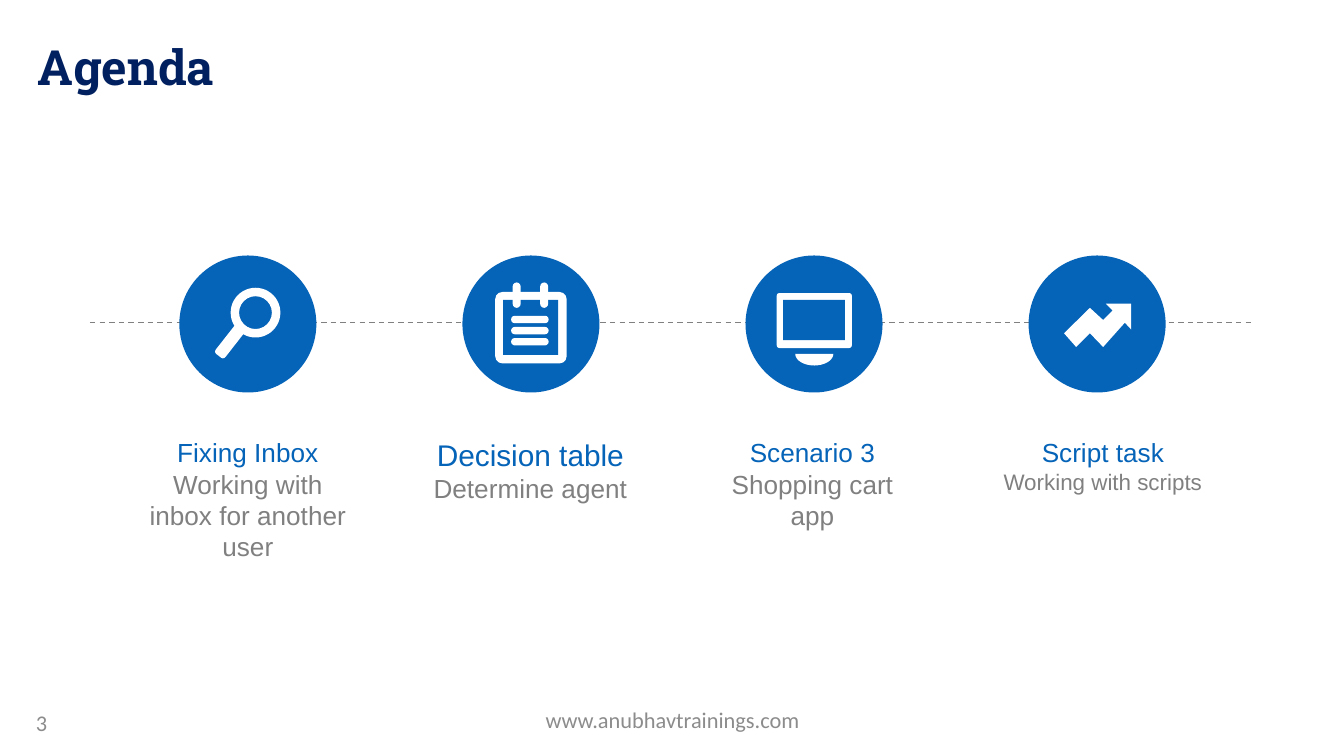
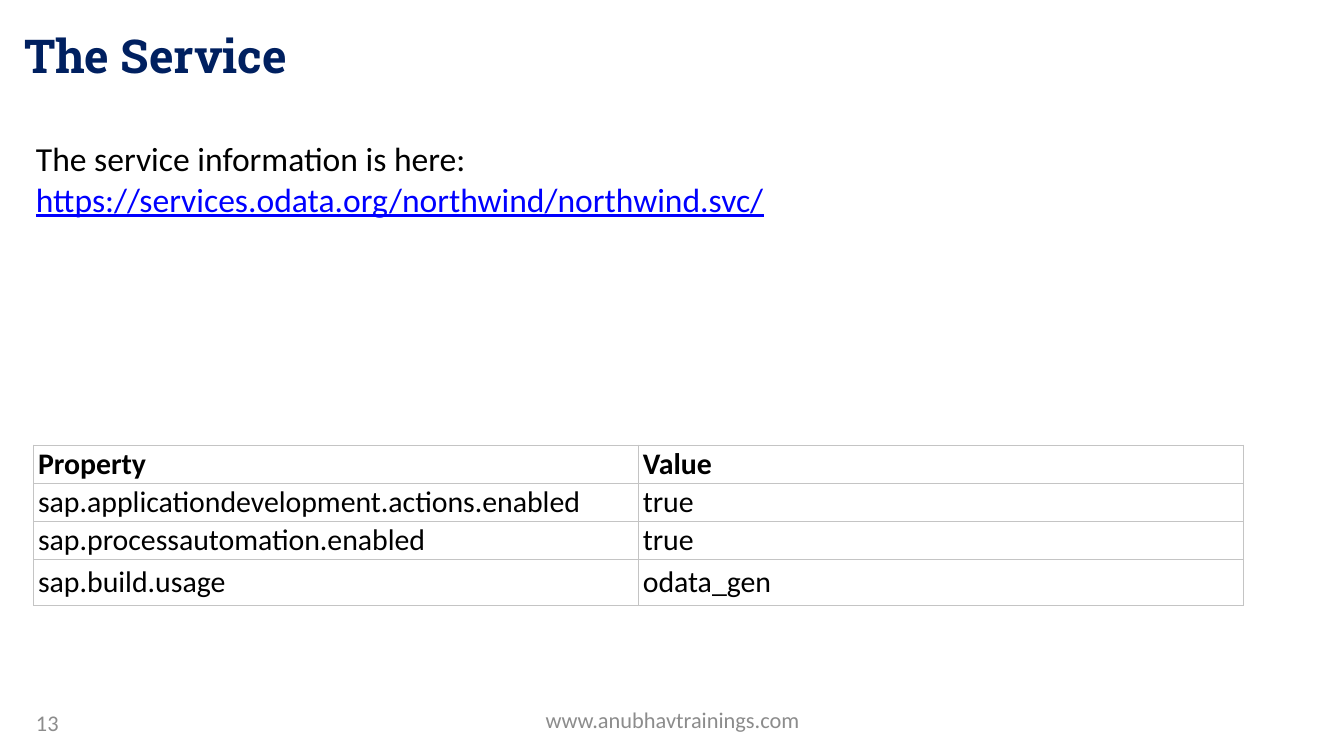
from dataclasses import dataclass
from math import cos, pi, sin

from lxml.etree import SubElement
from pptx import Presentation
from pptx.dml.color import RGBColor
from pptx.enum.dml import MSO_LINE
from pptx.enum.shapes import MSO_CONNECTOR, MSO_SHAPE
from pptx.enum.text import MSO_ANCHOR, MSO_AUTO_SIZE, PP_ALIGN
from pptx.oxml.ns import qn
from pptx.util import Cm, Pt


@dataclass(frozen=True)
class Theme:
    navy: RGBColor = RGBColor(0x00, 0x20, 0x60)
    bright: RGBColor = RGBColor(0x00, 0x70, 0xC0)
    blue: RGBColor = RGBColor(0x05, 0x63, 0xB8)
    link: RGBColor = RGBColor(0x00, 0x00, 0xFF)
    gray: RGBColor = RGBColor(0x80, 0x80, 0x80)
    footer: RGBColor = RGBColor(0x8C, 0x8C, 0x8C)
    black: RGBColor = RGBColor(0x00, 0x00, 0x00)
    white: RGBColor = RGBColor(0xFF, 0xFF, 0xFF)
    border: str = "C4C4C4"
    title_font: str = "Roboto Slab"
    body_font: str = "Calibri"
    label_font: str = "Arial"
    small: int = 12
    label: int = 14
    table: int = 16
    body: int = 18


theme = Theme()


def paint(shape, colour):
    shape.shadow.inherit = False
    shape.fill.solid()
    shape.fill.fore_color.rgb = colour
    shape.line.fill.background()


def add_text(slide, box, lines, font_name, align=PP_ALIGN.LEFT, anchor=MSO_ANCHOR.TOP):
    """Add a text box; each line is (text, size, colour)."""
    shape = slide.shapes.add_textbox(*map(Cm, box))
    frame = shape.text_frame
    frame.word_wrap = True
    frame.vertical_anchor = anchor
    for index, (text, size, colour) in enumerate(lines):
        paragraph = frame.add_paragraph() if index else frame.paragraphs[0]
        paragraph.text = text
        paragraph.alignment = align
        paragraph.font.name = font_name
        paragraph.font.size = Pt(size)
        paragraph.font.color.rgb = colour
    return frame


presentation = Presentation()
presentation.slide_width = Cm(25.4)
presentation.slide_height = Cm(14.29)

# Title, footer and number of each slide
slides = []
for title, title_size, left, top, number, number_width in [
    ("Agenda", 26, 0.46, 0.58, "3", 5.92),
    ("The Service", 25, 0.2, 0.38, "13", 1.27),
]:
    slide = presentation.slides.add_slide(presentation.slide_layouts[5])
    slides.append(slide)
    shape = slide.shapes.title
    shape.left, shape.top, shape.width, shape.height = map(Cm, (left, top, 22.86, 1.47))
    frame = shape.text_frame
    frame.text = title
    frame.vertical_anchor = MSO_ANCHOR.TOP
    frame.auto_size = MSO_AUTO_SIZE.NONE
    paragraph = frame.paragraphs[0]
    paragraph.alignment = PP_ALIGN.LEFT
    font = paragraph.runs[0].font
    font.name = theme.title_font
    font.size = Pt(title_size)
    font.bold = True
    font.fill.gradient()
    font.fill.gradient_angle = 270
    for stop, colour in zip(font.fill.gradient_stops, (theme.navy, theme.bright)):
        stop.color.rgb = colour
    add_text(slide, (8.69, 13.23, 8.05, 0.76),
             [("www.anubhavtrainings.com", theme.small, theme.footer)],
             theme.body_font, PP_ALIGN.CENTER, MSO_ANCHOR.MIDDLE)
    add_text(slide, (0.43, 13.28, number_width, 0.76),
             [(number, theme.small, theme.footer)],
             theme.body_font, anchor=MSO_ANCHOR.MIDDLE)
agenda, service = slides

# Agenda: dashed timeline
timeline = agenda.shapes.add_connector(
    MSO_CONNECTOR.STRAIGHT, Cm(1.7), Cm(6.1), Cm(23.7), Cm(6.1))
timeline.line.color.rgb = theme.gray
timeline.line.width = Pt(0.75)
timeline.line.dash_style = MSO_LINE.DASH
SubElement(timeline.element.spPr, qn("a:effectLst"))

# Agenda: circles and labels
circle_top, circle_size = 4.83, 2.59
circle_lefts = [3.39 + 5.35 * step for step in range(4)]
topics = [
    ("Fixing Inbox", theme.label, "Working with inbox for another user", theme.label, 2.46, 2.64),
    ("Decision table", 16, "Determine agent", theme.label, 7.8, 1.55),
    ("Scenario 3", theme.label, "Shopping cart app", theme.label, 13.13, 2.06),
    ("Script task", theme.label, "Working with scripts", theme.small, 18.62, 1.37),
]
for circle_left, topic in zip(circle_lefts, topics):
    heading, heading_size, detail, detail_size, label_left, label_height = topic
    circle = agenda.shapes.add_shape(
        MSO_SHAPE.OVAL, Cm(circle_left), Cm(circle_top), Cm(circle_size), Cm(circle_size))
    paint(circle, theme.blue)
    frame = add_text(agenda, (label_left, 8.13, 4.45, label_height),
                     [(heading, heading_size, theme.blue), (detail, detail_size, theme.gray)],
                     theme.label_font, PP_ALIGN.CENTER)
    frame.auto_size = MSO_AUTO_SIZE.SHAPE_TO_FIT_TEXT

# Icon parts, measured from the corner of their circle:
# circle index, kind, left, top, width, height, adjustment, rotation, colour
rounded = MSO_SHAPE.ROUNDED_RECTANGLE
magnifier = [
    (0, MSO_SHAPE.DONUT, 0.97, 0.61, 0.94, 0.94, 0.17, 0, theme.white),
    (0, rounded, 0.84, 1.28, 0.23, 0.69, 0.25, 38, theme.white),
]
notepad = [
    (1, rounded, 0.62, 0.69, 1.35, 1.35, 0.1, 0, theme.white),
    (1, MSO_SHAPE.RECTANGLE, 0.77, 0.84, 1.04, 1.04, None, 0, theme.blue),
]
notepad += [(1, rounded, left, 0.51, 0.15, 0.48, 0.5, 0, theme.white)
            for left in (0.95, 1.47)]
notepad += [(1, rounded, 0.92, 1.14 + 0.21 * row, 0.71, 0.14, 0.5, 0, theme.white)
            for row in range(3)]
monitor = [
    (2, rounded, 0.59, 0.71, 1.42, 1.04, 0.05, 0, theme.white),
    (2, MSO_SHAPE.RECTANGLE, 0.71, 0.84, 1.17, 0.76, None, 0, theme.blue),
]
for index, kind, left, top, width, height, adjustment, rotation, colour in magnifier + notepad + monitor:
    part = agenda.shapes.add_shape(
        kind, Cm(circle_lefts[index] + left), Cm(circle_top + top), Cm(width), Cm(height))
    if adjustment is not None:
        part.adjustments[0] = adjustment
    part.rotation = rotation
    paint(part, colour)

# Monitor stand and rising arrow
stand = [(1.3 + 0.36 * cos(pi * step / 16), 1.86 + 0.22 * sin(pi * step / 16))
         for step in range(17)]
arrow = [(1.46, 0.91), (1.94, 0.91), (1.94, 1.4), (1.82, 1.27), (1.41, 1.73), (1.16, 1.47),
         (0.9, 1.73), (0.67, 1.47), (1.16, 0.99), (1.41, 1.22), (1.59, 1.04)]
for circle_left, outline in ((circle_lefts[2], stand), (circle_lefts[3], arrow)):
    points = [(Cm(circle_left + x), Cm(circle_top + y)) for x, y in outline]
    builder = agenda.shapes.build_freeform(*points[0])
    builder.add_line_segments(points[1:], close=True)
    paint(builder.convert_to_shape(), theme.white)

# Service: address
frame = add_text(service, (0.43, 2.49, 23.93, 2.57), [
    ("The service information is here:", theme.body, theme.black),
    ("https://services.odata.org/northwind/northwind.svc/", theme.body, theme.link),
], theme.body_font)
frame.paragraphs[1].font.underline = True

# Service: property table
rows = [
    ("Property", "Value"),
    ("sap.applicationdevelopment.actions.enabled", "true"),
    ("sap.processautomation.enabled", "true"),
    ("sap.build.usage", "odata_gen"),
]
row_heights = [0.72, 0.72, 0.72, 0.88]
table = service.shapes.add_table(
    len(rows), 2, Cm(0.64), Cm(8.41), Cm(22.86), Cm(sum(row_heights))).table
table.horz_banding = False
for row_index, row in enumerate(rows):
    table.rows[row_index].height = Cm(row_heights[row_index])
    for column_index, text in enumerate(row):
        cell = table.cell(row_index, column_index)
        cell.text = text
        cell.vertical_anchor = MSO_ANCHOR.MIDDLE
        cell.margin_left = cell.margin_right = Cm(0.08)
        cell.margin_top = cell.margin_bottom = Cm(0.02)
        font = cell.text_frame.paragraphs[0].font
        font.name = theme.body_font
        font.size = Pt(theme.table)
        font.bold = row_index == 0
        font.color.rgb = theme.black
        properties = cell._tc.get_or_add_tcPr()
        for side in ("a:lnL", "a:lnR", "a:lnT", "a:lnB"):
            line = SubElement(properties, qn(side), w=str(Pt(0.5)))
            SubElement(SubElement(line, qn("a:solidFill")), qn("a:srgbClr"), val=theme.border)
        cell.fill.solid()
        cell.fill.fore_color.rgb = theme.white

presentation.save("out.pptx")
